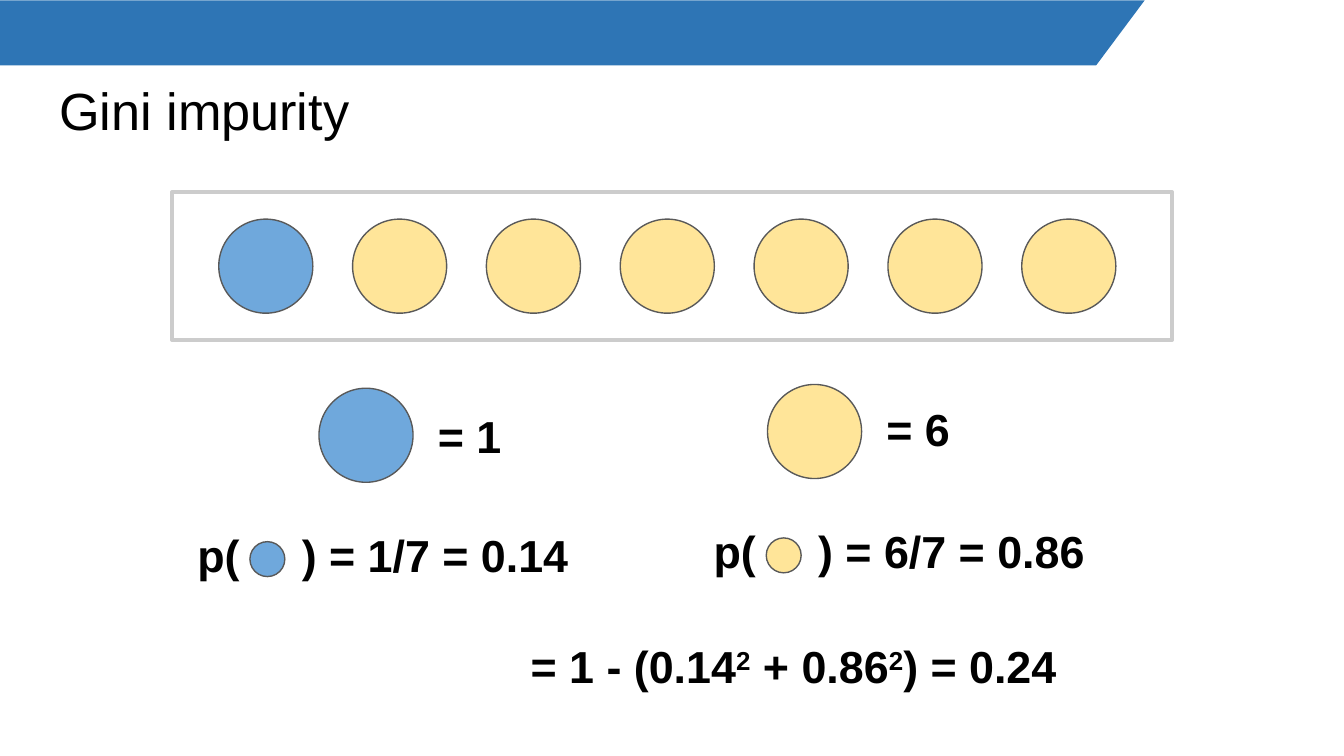
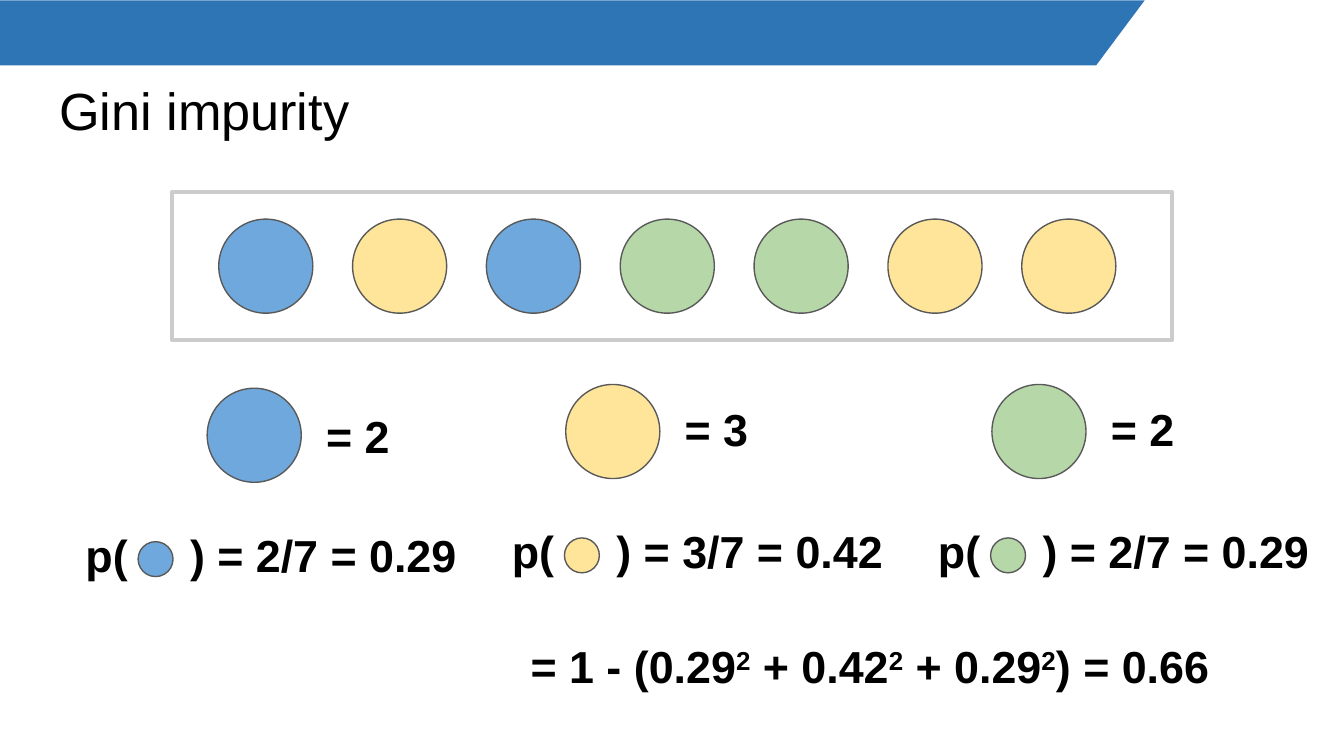
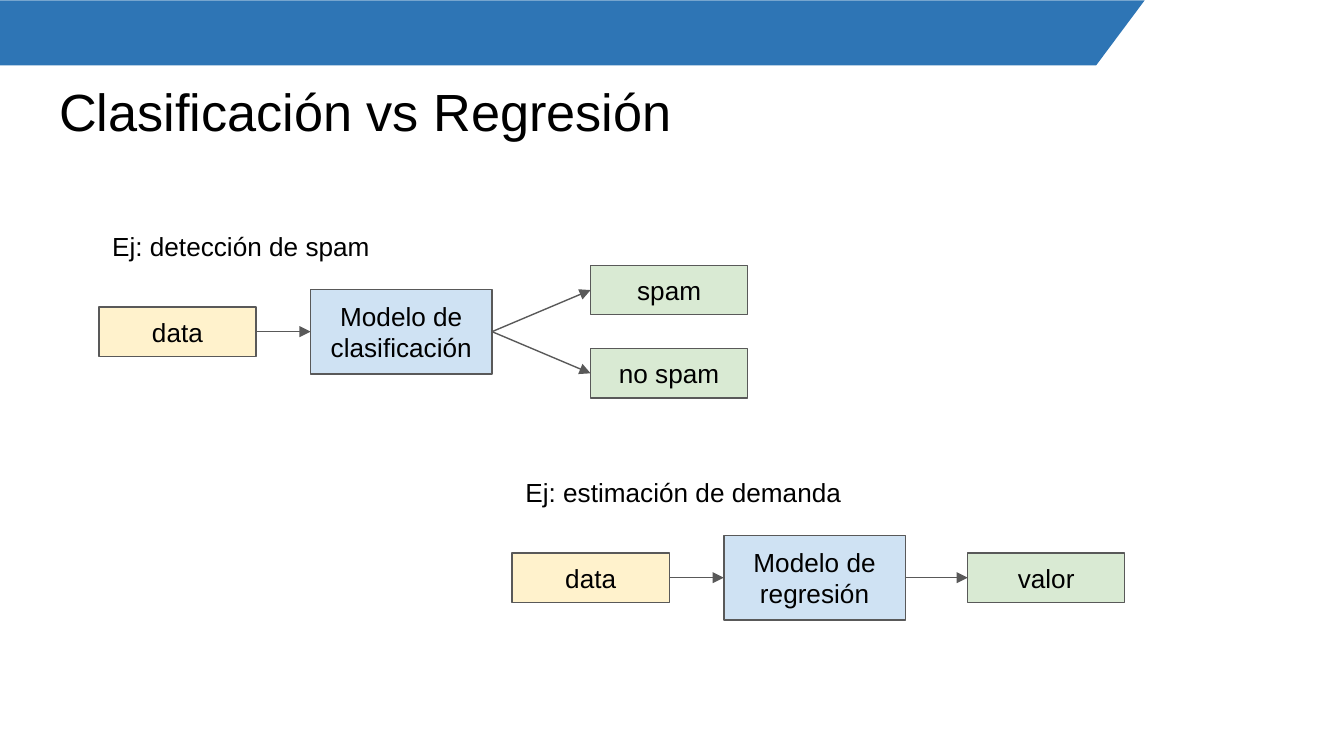
from lxml.etree import SubElement
from pptx import Presentation
from pptx.dml.color import RGBColor
from pptx.enum.shapes import MSO_CONNECTOR, MSO_SHAPE
from pptx.enum.text import MSO_ANCHOR, MSO_AUTO_SIZE, PP_ALIGN
from pptx.oxml.ns import qn
from pptx.util import Pt

BAND = "2E75B5"
BLUE, YELLOW, GREEN = "6FA8DC", "FFE599", "B6D7A8"
PALE_BLUE, PALE_YELLOW, PALE_GREEN = "CFE2F3", "FFF2CC", "D9EAD3"
OUTLINE, FRAME, BLACK = "595959", "CCCCCC", "000000"

INSET = Pt(7.2)
FRAME_FORMAT = dict(
    margin_left=INSET, margin_top=INSET, margin_right=INSET, margin_bottom=INSET,
    word_wrap=True, auto_size=MSO_AUTO_SIZE.NONE,
)
TITLE_FONT = dict(name="Arial", size=Pt(28), bold=False)
MATH_FONT = dict(name="Arial", size=Pt(24), bold=True)
LABEL_FONT = dict(name="Arial", size=Pt(14), bold=False)

BALL = 50.4
SMALL_BALL = 18.7
BALL_PITCH = 71.7
TAB_STOP = 56

# Placement of a class summary: the first one sits slightly lower than the rest.
FIRST_CLASS = dict(top=208, ball_shift=72.3, count_drop=3.7, count_width=65.5)
OTHER_CLASS = dict(top=206, ball_shift=36, count_drop=2, count_width=55.4)

NODE_WIDTH, NODE_HEIGHT = 84.2, 26.6
MODEL_WIDTH, MODEL_HEIGHT = 97.2, 45.4
MODEL_SHIFT = 113.4
OUTCOME_PITCH = 44.6


def color(hex_string):
    return RGBColor.from_string(hex_string)


def apply(target, values):
    for name, value in values.items():
        setattr(target, name, value)


def write(box, spans, font, anchor=MSO_ANCHOR.TOP, align=PP_ALIGN.LEFT):
    """Fill a box with one paragraph; every second span is a superscript."""
    frame = box.text_frame
    apply(frame, FRAME_FORMAT | dict(vertical_anchor=anchor))
    para = frame.paragraphs[0]
    para.alignment = align
    for index, text in enumerate(spans):
        span = para.add_run()
        span.text = text
        apply(span.font, font)
        span.font.color.rgb = color(BLACK)
        if index % 2:
            span._r.get_or_add_rPr().set("baseline", "30000")
    return para


def add_text(page, left, top, width, height, spans, font, anchor=MSO_ANCHOR.TOP):
    box = page.shapes.add_textbox(Pt(left), Pt(top), Pt(width), Pt(height))
    return write(box, spans, font, anchor)


def add_figure(page, kind, left, top, width, height, fill=None, line=OUTLINE, weight=0.75):
    figure = page.shapes.add_shape(kind, Pt(left), Pt(top), Pt(width), Pt(height))
    figure.shadow.inherit = False
    if fill:
        figure.fill.solid()
        figure.fill.fore_color.rgb = color(fill)
    else:
        figure.fill.background()
    if line:
        figure.line.color.rgb = color(line)
        figure.line.width = Pt(weight)
    else:
        figure.line.fill.background()
    return figure


def add_ball(page, left, top, size, fill):
    add_figure(page, MSO_SHAPE.OVAL, left, top, size, size, fill)


def add_page(deck, title, title_top=34.6):
    page = deck.slides.add_slide(deck.slide_layouts[5])
    box = page.shapes.title
    apply(box, dict(left=Pt(24.5), top=Pt(title_top), width=Pt(671), height=Pt(45.4)))
    write(box, [title], TITLE_FONT)
    return page


def move_band_to_layout(page):
    """Draw the top band and hand it to the layout that all pages share."""
    band = add_figure(page, MSO_SHAPE.TRAPEZOID, -64.8, 0.2, 678, 34.8, BAND, line=None)
    band.rotation = 180
    band.adjustments[0] = 0.746
    page.slide_layout.shapes.element.insert(2, band.element)


def add_sample(page, left, top, fills):
    add_figure(page, MSO_SHAPE.RECTANGLE, left, top, 535.7, 79.2, line=FRAME, weight=2.25)
    for index, fill in enumerate(fills):
        add_ball(page, left + 25 + index * BALL_PITCH, top + 14.4, BALL, fill)


def add_class(page, left, fill, count, probability, top, ball_shift, count_drop, count_width):
    """Show how often a class occurs and, below, its probability."""
    ball_left = left + ball_shift
    add_ball(page, ball_left, top, BALL, fill)
    add_text(page, ball_left + 56.6, top + count_drop, count_width, 36,
             [f"= {count}"], MATH_FONT)
    para = add_text(page, left, top + 66.5, 236.2, 45.4,
                    [f"p(\t) = {count}/7 = {probability}"], MATH_FONT, MSO_ANCHOR.MIDDLE)
    stops = SubElement(para._p.get_or_add_pPr(), qn("a:tabLst"))
    SubElement(stops, qn("a:tab"), pos=str(Pt(TAB_STOP)), algn="l")
    add_ball(page, left + 35.3, top + 82.2, SMALL_BALL, fill)


def add_impurity(page, left, top, width, probabilities, result):
    spans = []
    for index, probability in enumerate(probabilities):
        lead = " + " if index else "= 1 - ("
        spans += [lead + probability, "2"]
    spans.append(f") = {result}")
    add_text(page, left, top, width, 45.4, spans, MATH_FONT, MSO_ANCHOR.MIDDLE)


def build_gini_page(deck, fills, classes, formula_width, result):
    page = add_page(deck, "Gini impurity")
    add_sample(page, 92.2, 103, fills)
    for index, (left, fill, probability) in enumerate(classes):
        placement = OTHER_CLASS if index else FIRST_CLASS
        add_class(page, left, fill, fills.count(fill), probability, **placement)
    add_impurity(page, 277.2, 334, formula_width, [entry[2] for entry in classes], result)
    return page


def add_node(page, left, axis, text, fill, width=NODE_WIDTH, height=NODE_HEIGHT):
    """Add a labelled rectangle centred vertically on the axis."""
    node = add_figure(page, MSO_SHAPE.RECTANGLE, left, axis - height / 2, width, height, fill)
    write(node, [text], LABEL_FONT, MSO_ANCHOR.MIDDLE, PP_ALIGN.CENTER)
    return node


def add_arrow(page, source, target):
    arrow = page.shapes.add_connector(MSO_CONNECTOR.STRAIGHT, 0, 0, 0, 0)
    arrow.begin_connect(source, 3)
    arrow.end_connect(target, 1)
    arrow.line.color.rgb = color(OUTLINE)
    arrow.line.width = Pt(0.75)
    properties = arrow.element.spPr
    SubElement(properties.find(qn("a:ln")), qn("a:tailEnd"), type="triangle")
    SubElement(properties, qn("a:effectLst"))


def add_flow(page, left, axis, caption, model_name, outcomes, outcome_shift):
    add_text(page, left, axis - 61.7, 232.6, 14.4, [caption], LABEL_FONT)
    data = add_node(page, left, axis, "data", PALE_YELLOW)
    model = add_node(page, left + MODEL_SHIFT, axis, model_name, PALE_BLUE,
                     MODEL_WIDTH, MODEL_HEIGHT)
    add_arrow(page, data, model)
    for index, text in enumerate(outcomes):
        offset = (index - (len(outcomes) - 1) / 2) * OUTCOME_PITCH
        outcome = add_node(page, left + outcome_shift, axis + offset, text, PALE_GREEN)
        add_arrow(page, model, outcome)


def build_comparison_page(deck):
    page = add_page(deck, "Clasificación vs Regresión", 35.4)
    add_flow(page, 53, 177.7, "Ej: detección de spam", "Modelo de clasificación",
             ["spam", "no spam"], 263.4)
    add_flow(page, 274.4, 309.5, "Ej: estimación de demanda", "Modelo de regresión",
             ["valor"], 244)


def main():
    deck = Presentation()
    deck.slide_width, deck.slide_height = Pt(720), Pt(405)
    first_page = build_gini_page(
        deck, [BLUE] + [YELLOW] * 6,
        [(98.6, BLUE, "0.14"), (375.2, YELLOW, "0.86")],
        318.2, "0.24")
    move_band_to_layout(first_page)
    build_gini_page(
        deck, [BLUE, YELLOW, BLUE, GREEN, GREEN, YELLOW, YELLOW],
        [(38.7, BLUE, "0.29"), (267.1, YELLOW, "0.42"), (495.4, GREEN, "0.29")],
        391, "0.66")
    build_comparison_page(deck)
    deck.save("out.pptx")


if __name__ == "__main__":
    main()
